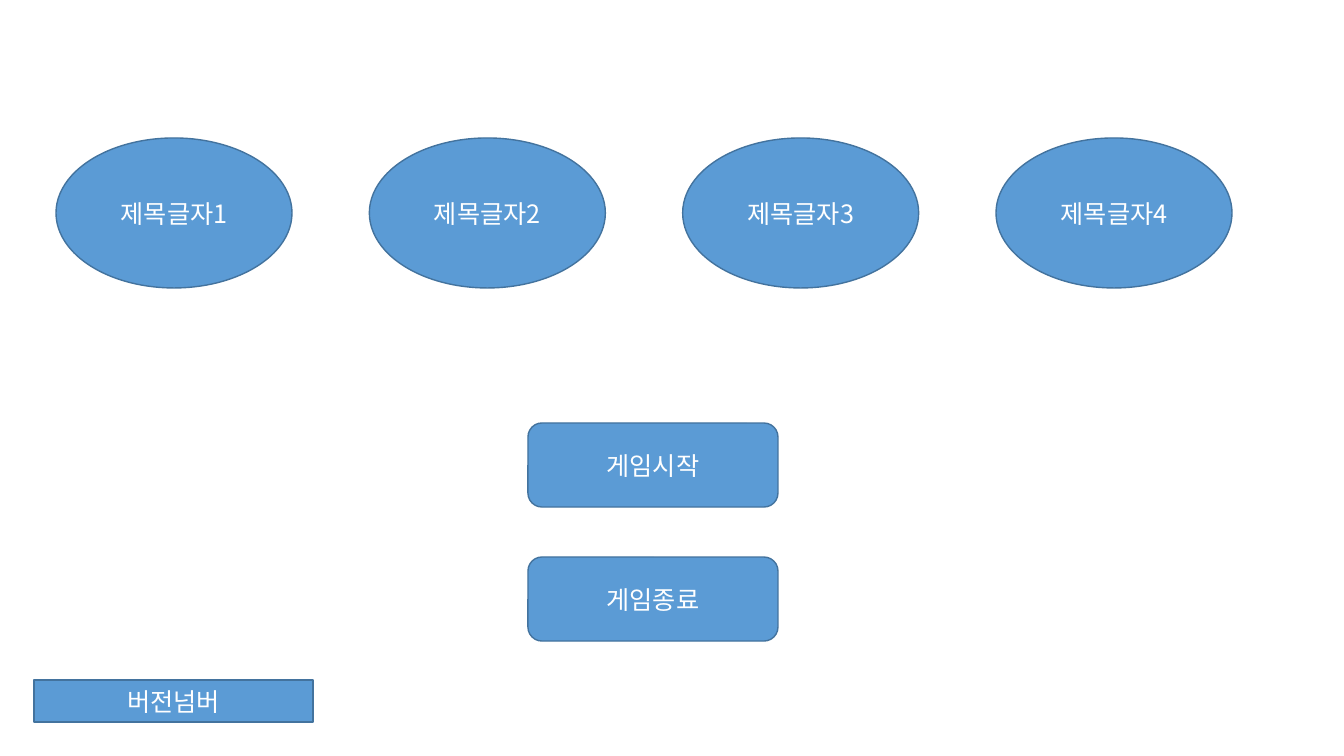
from lxml.etree import SubElement
from pptx import Presentation
from pptx.dml.color import RGBColor
from pptx.enum.shapes import MSO_SHAPE
from pptx.enum.text import MSO_ANCHOR, PP_ALIGN
from pptx.oxml.ns import qn
from pptx.util import Inches, Pt

BLUE = RGBColor(0x5B, 0x9B, 0xD5)
DARK_BLUE = RGBColor(0x43, 0x73, 0x9E)
WHITE = RGBColor(0xFF, 0xFF, 0xFF)
FONT = "Noto Sans CJK KR"
PIXELS_PER_INCH = 100.8


def emu(pixels):
    return Inches(pixels / PIXELS_PER_INCH)


def add_label(slide, kind, text, left, top, width, height):
    shape = slide.shapes.add_shape(kind, emu(left), emu(top), emu(width), emu(height))
    shape.shadow.inherit = False
    shape.fill.solid()
    shape.fill.fore_color.rgb = BLUE
    shape.line.color.rgb = DARK_BLUE
    shape.line.width = Pt(1)
    shape.text_frame.text = text
    shape.text_frame.vertical_anchor = MSO_ANCHOR.MIDDLE
    paragraph = shape.text_frame.paragraphs[0]
    paragraph.alignment = PP_ALIGN.CENTER
    paragraph.font.size = Pt(18)
    paragraph.font.color.rgb = WHITE
    paragraph.font.name = FONT
    properties = paragraph._p.pPr.find(qn("a:defRPr"))
    SubElement(properties, qn("a:ea"), typeface=FONT)


def add_title_letters(slide, left, top, width, height, count=4, letter_width=236):
    pitch = (width - letter_width) / (count - 1)
    for index in range(count):
        add_label(slide, MSO_SHAPE.OVAL, f"제목글자{index + 1}",
                  left + index * pitch, top, letter_width, height)


def add_menu(slide, left, top, width, height, button_height=84):
    names = ["게임시작", "게임종료"]
    pitch = (height - button_height) / (len(names) - 1)
    for index, name in enumerate(names):
        add_label(slide, MSO_SHAPE.ROUNDED_RECTANGLE, name,
                  left, top + index * pitch, width, button_height)


def add_version(slide, left, top, width, height):
    add_label(slide, MSO_SHAPE.RECTANGLE, "버전넘버", left, top, width, height)


presentation = Presentation()
presentation.slide_width = emu(1344)
presentation.slide_height = emu(756)
slide = presentation.slides.add_slide(presentation.slide_layouts[6])
add_menu(slide, 528, 423, 250, 218)
add_version(slide, 34, 680, 279, 42)
add_title_letters(slide, 56, 138, 1176, 150)
presentation.save("out.pptx")
